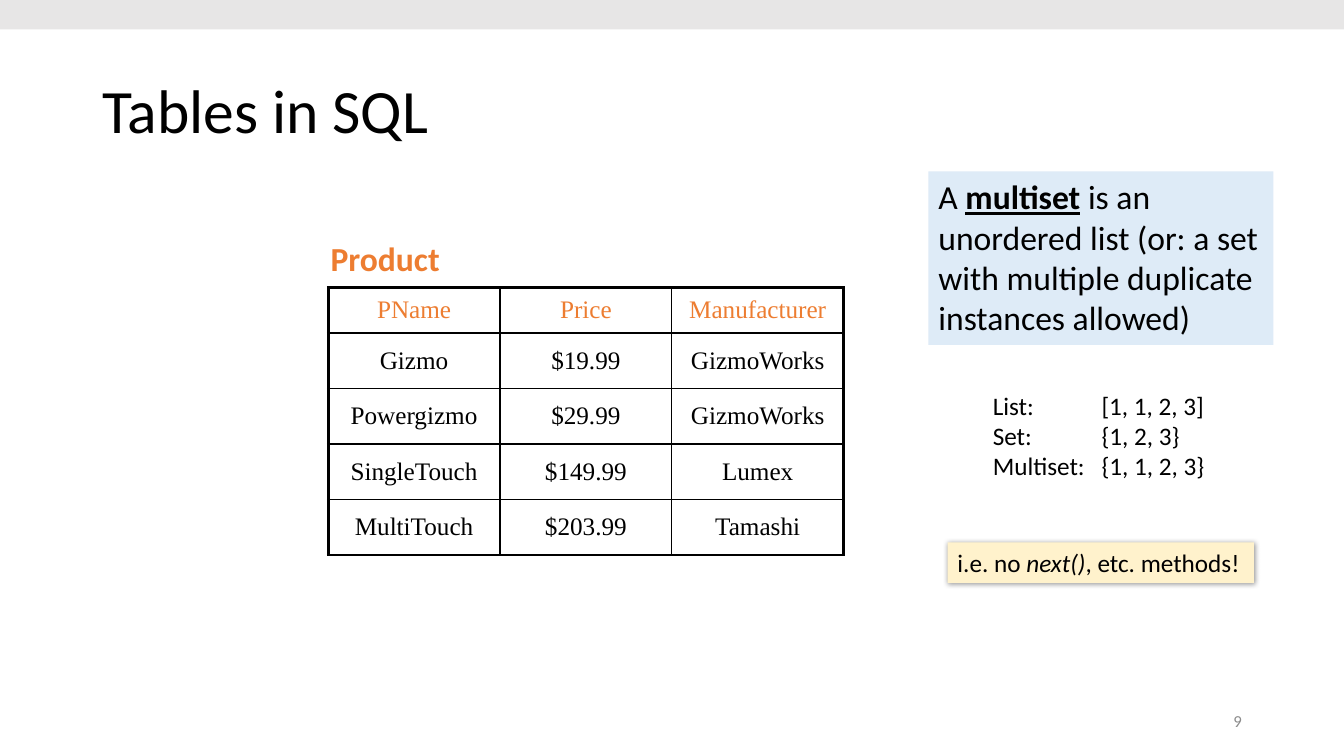
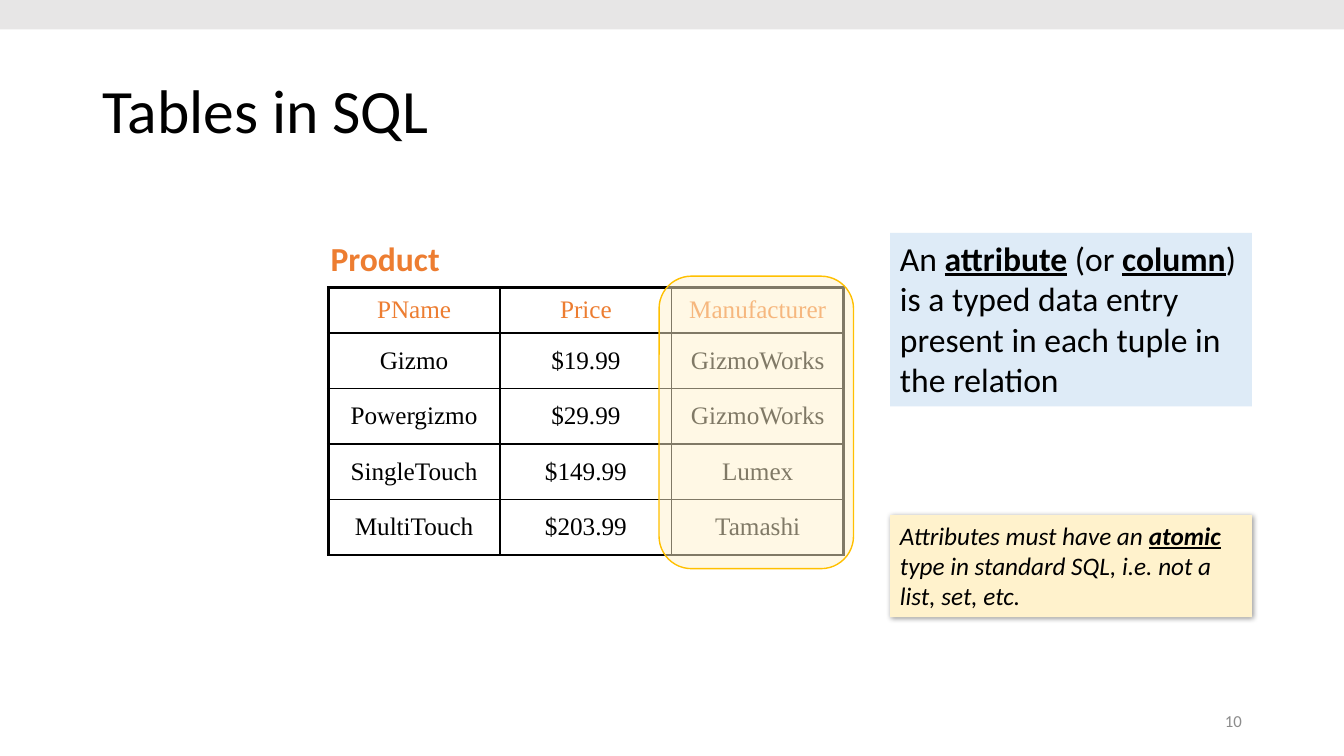
from lxml.etree import SubElement
from pptx import Presentation
from pptx.dml.color import RGBColor
from pptx.enum.shapes import MSO_SHAPE
from pptx.enum.text import MSO_ANCHOR, PP_ALIGN
from pptx.oxml import parse_xml
from pptx.oxml.ns import nsdecls, qn
from pptx.util import Cm, Pt

INK, ORANGE, GRAY = "000000", "ED7D31", "8C8C8C"
BLUE, CREAM, GOLD, BAND = "DEEBF7", "FFF2CC", "FFC000", "E7E6E6"
SANS, SERIF = "Calibri", "Times New Roman"
WIDTH, HEIGHT = 33.87, 19.05
TITLE = "Tables in SQL"
ROWS = [
    ("PName", "Price", "Manufacturer"),
    ("Gizmo", "$19.99", "GizmoWorks"),
    ("Powergizmo", "$29.99", "GizmoWorks"),
    ("SingleTouch", "$149.99", "Lumex"),
    ("MultiTouch", "$203.99", "Tamashi"),
]


def color(code):
    return RGBColor.from_string(code)


def place(left, top, width, height):
    return Cm(left), Cm(top), Cm(width), Cm(height)


class Deck:
    """Holds the shared style and the current slide."""

    def __init__(self):
        self.file = Presentation()
        self.file.slide_width = Cm(WIDTH)
        self.file.slide_height = Cm(HEIGHT)
        self.slide = None

    def style(self, para, size, ink=INK, face=SANS, align=PP_ALIGN.LEFT):
        para.alignment = align
        font = para.font
        font.name, font.size = face, Pt(size)
        font.color.rgb = color(ink)
        return font

    def start(self, title, page):
        self.slide = self.file.slides.add_slide(self.file.slide_layouts[5])
        self.block(0, 0, WIDTH, 0.74, BAND)
        head = self.slide.shapes.title
        head.left, head.top, head.width, head.height = place(2.33, 1.02, 29.21, 3.68)
        frame = head.text_frame
        frame.text = title
        frame.vertical_anchor = MSO_ANCHOR.MIDDLE
        self.style(frame.paragraphs[0], 44)
        frame.paragraphs[0].line_spacing = 0.9
        foot = self.text(23.93, 17.65, 7.62, 1.02, [str(page)], 12, GRAY,
                         align=PP_ALIGN.RIGHT)
        foot.text_frame.vertical_anchor = MSO_ANCHOR.MIDDLE

    def block(self, left, top, width, height, fill, line=None, alpha=None,
              kind=MSO_SHAPE.RECTANGLE):
        shape = self.slide.shapes.add_shape(kind, *place(left, top, width, height))
        shape.shadow.inherit = False
        shape.fill.solid()
        shape.fill.fore_color.rgb = color(fill)
        if alpha:
            tint = shape.element.spPr.find(".//" + qn("a:srgbClr"))
            SubElement(tint, qn("a:alpha")).set("val", str(alpha * 1000))
        if line:
            shape.line.color.rgb = color(line)
            shape.line.width = Pt(1)
        else:
            shape.line.fill.background()

    def text(self, left, top, width, height, lines, size, ink=INK, fill=None,
             wrap=True, bold=None, slant=None, marks=("bold", "underline"),
             align=PP_ALIGN.LEFT):
        box = self.slide.shapes.add_textbox(*place(left, top, width, height))
        frame = box.text_frame
        frame.word_wrap = wrap
        if fill:
            box.fill.solid()
            box.fill.fore_color.rgb = color(fill)
        for index, line in enumerate(lines):
            para = frame.add_paragraph() if index else frame.paragraphs[0]
            font = self.style(para, size, ink, align=align)
            font.bold, font.italic = bold, slant
            for spot, part in enumerate(line.split("*")):
                run = para.add_run()
                run.text = part
                for mark in marks if spot % 2 else ():
                    setattr(run.font, mark, True)
        return box

    def tabs(self, box, stop):
        for props in box.element.iter(qn("a:pPr")):
            props.insert(0, parse_xml(
                f'<a:tabLst {nsdecls("a")}><a:tab pos="{Cm(stop)}" algn="l"/></a:tabLst>'))

    def note(self, *args, **style):
        box = self.text(*args, size=18, fill=CREAM, **style)
        box.shadow.inherit = False
        glow = box.element.spPr.find(qn("a:effectLst"))
        glow.append(parse_xml(
            f'<a:outerShdw {nsdecls("a")} blurRad="{Pt(4)}" dist="{Pt(1)}" dir="2700000">'
            f'<a:srgbClr val="{INK}"><a:alpha val="40000"/></a:srgbClr></a:outerShdw>'))

    def edges(self, cell, sides):
        props = cell._tc.get_or_add_tcPr()
        for index, (side, thick) in enumerate(sides.items()):
            props.insert(index, parse_xml(
                f'<a:ln{side} {nsdecls("a")} w="{Pt(2.25 if thick else 1)}"><a:solidFill>'
                f'<a:srgbClr val="{INK}"/></a:solidFill></a:ln{side}>'))

    def table(self, left, top, rows, width, first, rest):
        wide, deep = len(rows[0]), len(rows)
        high = first + rest * (deep - 1)
        grid = self.slide.shapes.add_table(
            deep, wide, *place(left, top, width * wide, high)).table
        grid.first_row = grid.horz_banding = False
        for col in grid.columns:
            col.width = Cm(width)
        for r, row in enumerate(rows):
            grid.rows[r].height = Cm(rest if r else first)
            for c, word in enumerate(row):
                cell = grid.cell(r, c)
                cell.text = word
                cell.vertical_anchor = MSO_ANCHOR.MIDDLE
                cell.fill.background()
                para = cell.text_frame.paragraphs[0]
                self.style(para, 18, INK if r else ORANGE, SERIF, PP_ALIGN.CENTER)
                para.space_before = Pt(3.6)
                self.edges(cell, {"L": c == 0, "R": c == wide - 1,
                                  "T": r < 2, "B": r in (0, deep - 1)})

    def product(self, page):
        self.start(TITLE, page)
        self.table(8.27, 7.25, ROWS, 4.33, 1.14, 1.4)
        self.text(8.08, 5.87, 3.3, 1.27, ["Product"], 24, ORANGE, wrap=False, bold=True)


def main():
    deck = Deck()

    deck.product(9)
    deck.text(23.4, 4.32, 8.69, 4.37, [
        "A *multiset* is an unordered list (or: a set with multiple duplicate "
        "instances allowed)"], 24, fill=BLUE)
    kinds = deck.text(24.77, 9.7, 6.3, 2.57, [
        "List:\t[1, 1, 2, 3]", "Set:\t{1, 2, 3}", "Multiset:\t{1, 1, 2, 3}"], 18)
    deck.tabs(kinds, 2.74)
    deck.note(23.88, 13.67, 7.72, 1.02, ["i.e. no *next()*, etc. methods!"],
              wrap=False, marks=("italic",))

    deck.product(10)
    deck.block(16.61, 6.96, 4.9, 7.37, CREAM, GOLD, 50, MSO_SHAPE.ROUNDED_RECTANGLE)
    deck.text(22.43, 5.87, 9.12, 4.37, [
        "An *attribute* (or *column*) is a typed data entry present in each tuple "
        "in the relation"], 24, fill=BLUE)
    deck.note(22.43, 12.98, 9.12, 2.57, [
        "Attributes must have an *atomic* type in standard SQL, i.e. not a list, "
        "set, etc."], slant=True)

    deck.file.save("out.pptx")


if __name__ == "__main__":
    main()
